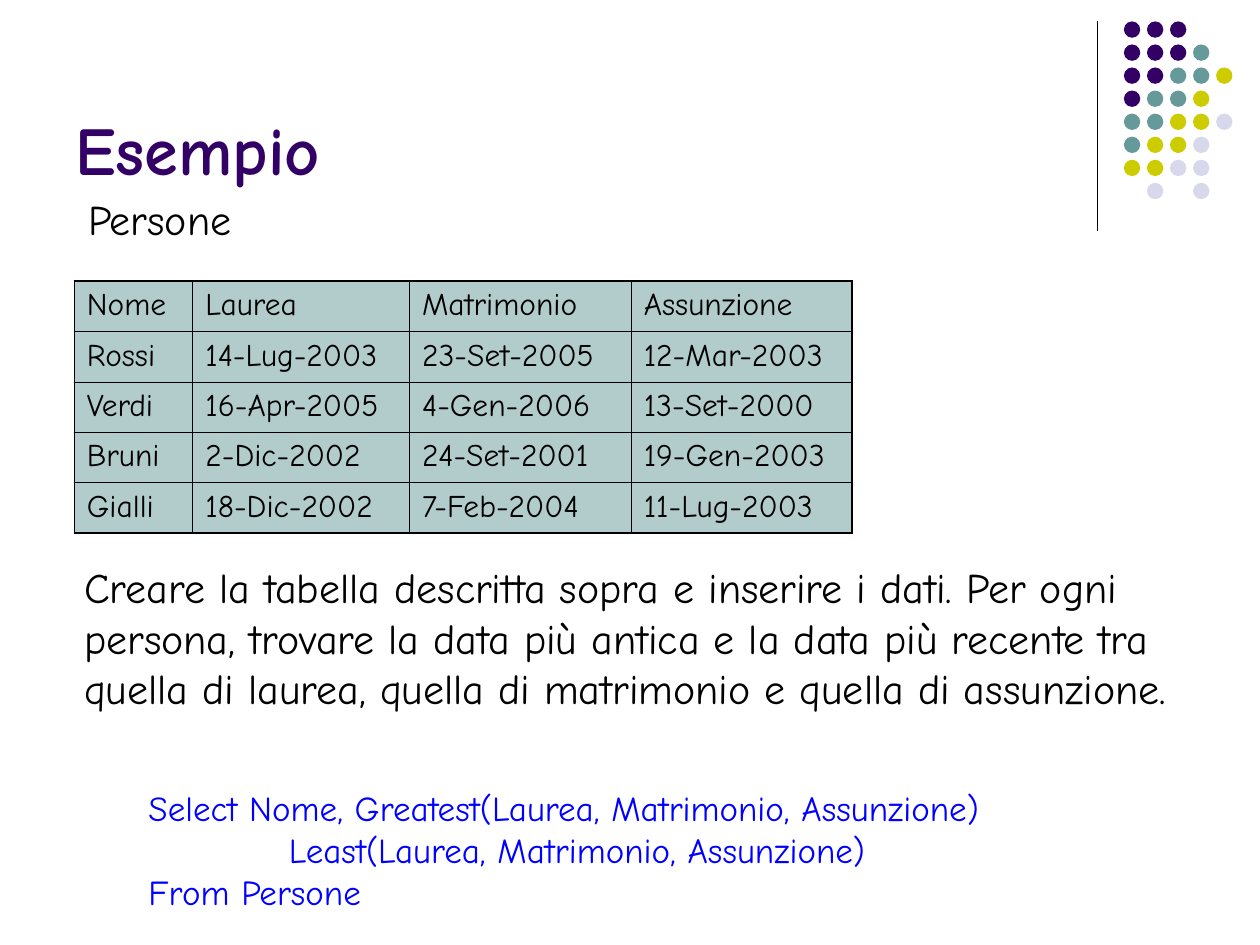
from dataclasses import dataclass

from lxml.etree import SubElement
from pptx import Presentation
from pptx.dml.color import RGBColor
from pptx.enum.shapes import MSO_CONNECTOR, MSO_SHAPE
from pptx.enum.text import MSO_ANCHOR
from pptx.oxml.ns import qn
from pptx.util import Inches, Pt


@dataclass(frozen=True)
class Theme:
    font: str = "Comic Neue"
    purple: str = "330066"
    teal: str = "669999"
    olive: str = "CCCC00"
    lavender: str = "D8D8EC"
    black: str = "000000"
    blue: str = "0000FF"
    title_size: int = 39
    body_size: int = 24
    query_size: int = 20
    table_size: int = 18
    rule_width: float = 0.75
    outer_border: float = 1.08
    inner_border: float = 0.45


THEME = Theme()
GRID_COLUMNS, GRID_ROWS = 100, 75
UNIT = Inches(10) // GRID_COLUMNS

DOT_COLORS = {"P": THEME.purple, "T": THEME.teal, "O": THEME.olive, "L": THEME.lavender}
DOT_PATTERN = ["PPP", "PPPT", "PPTTO", "PTTO", "TTOOL", "TOOL", "OOLL", " L L"]

PEOPLE = [
    ["Nome", "Laurea", "Matrimonio", "Assunzione"],
    ["Rossi", "14-Lug-2003", "23-Set-2005", "12-Mar-2003"],
    ["Verdi", "16-Apr-2005", "4-Gen-2006", "13-Set-2000"],
    ["Bruni", "2-Dic-2002", "24-Set-2001", "19-Gen-2003"],
    ["Gialli", "18-Dic-2002", "7-Feb-2004", "11-Lug-2003"],
]
COLUMN_WIDTHS = [9.4, 17.2, 17.6, 17.5]
ROW_HEIGHT = 4

QUERY = [
    "Select Nome, Greatest(Laurea, Matrimonio, Assunzione)",
    "            Least(Laurea, Matrimonio, Assunzione)",
    "From Persone",
]
TASK = (
    "Creare la tabella descritta sopra e inserire i dati. Per ogni persona, "
    "trovare la data più antica e la data più recente tra quella di laurea, "
    "quella di matrimonio e quella di assunzione."
)


def grid(*units):
    """Turn counts of grid columns or rows into slide lengths."""
    return [round(unit * UNIT) for unit in units]


def write_text(text_frame, lines, *, size, color=THEME.black, bold=False):
    for index, line in enumerate(lines):
        paragraph = text_frame.paragraphs[0] if index == 0 else text_frame.add_paragraph()
        run = paragraph.add_run()
        run.text = line
        run.font.name = THEME.font
        run.font.size = Pt(size)
        run.font.bold = bold
        run.font.color.rgb = RGBColor.from_string(color)


def add_text(slide, box, lines, *, wrap=True, anchor=MSO_ANCHOR.TOP, **text_format):
    text_frame = slide.shapes.add_textbox(*grid(*box)).text_frame
    text_frame.word_wrap = wrap
    text_frame.vertical_anchor = anchor
    write_text(text_frame, lines, **text_format)


def add_rule(slide, start, end):
    rule = slide.shapes.add_connector(MSO_CONNECTOR.STRAIGHT, *grid(*start, *end))
    rule.line.color.rgb = RGBColor.from_string(THEME.black)
    rule.line.width = Pt(THEME.rule_width)
    SubElement(rule._element.spPr, qn("a:effectLst"))


def add_dots(slide, left, top, pitch, diameter):
    group = slide.shapes.add_group_shape()
    for row, pattern in enumerate(DOT_PATTERN):
        for column, key in enumerate(pattern):
            if key == " ":
                continue
            box = grid(left + column * pitch, top + row * pitch, diameter, diameter)
            dot = group.shapes.add_shape(MSO_SHAPE.OVAL, *box)
            dot.shadow.inherit = False
            dot.fill.solid()
            dot.fill.fore_color.rgb = RGBColor.from_string(DOT_COLORS[key])
            dot.line.fill.background()


def style_cell(cell, outer_sides):
    """Draw the four borders, thicker on the outer sides, and a half-clear fill."""
    properties = cell._tc.get_or_add_tcPr()
    for side in "LRTB":
        width = THEME.outer_border if side in outer_sides else THEME.inner_border
        border = SubElement(properties, qn(f"a:ln{side}"), w=str(int(Pt(width))))
        SubElement(SubElement(border, qn("a:solidFill")), qn("a:srgbClr"), val=THEME.black)
    cell.fill.solid()
    cell.fill.fore_color.rgb = RGBColor.from_string(THEME.teal)
    fill_color = properties.find(qn("a:solidFill")).find(qn("a:srgbClr"))
    SubElement(fill_color, qn("a:alpha"), val="50000")


def add_people_table(slide, left, top):
    row_count, column_count = len(PEOPLE), len(PEOPLE[0])
    box = grid(left, top, sum(COLUMN_WIDTHS), row_count * ROW_HEIGHT)
    table = slide.shapes.add_table(row_count, column_count, *box).table
    table.first_row = table.horz_banding = False
    for column, width in zip(table.columns, grid(*COLUMN_WIDTHS)):
        column.width = width
    for row, values in enumerate(PEOPLE):
        for column, value in enumerate(values):
            edges = {"L": column == 0, "R": column == column_count - 1,
                     "T": row == 0, "B": row == row_count - 1}
            cell = table.cell(row, column)
            write_text(cell.text_frame, [value], size=THEME.table_size)
            style_cell(cell, [side for side, is_outer in edges.items() if is_outer])


def main():
    presentation = Presentation()
    presentation.slide_width = GRID_COLUMNS * UNIT
    presentation.slide_height = GRID_ROWS * UNIT
    slide = presentation.slides.add_slide(presentation.slide_layouts[6])

    add_rule(slide, (87.1, 1.7), (87.1, 18.3))
    add_dots(slide, left=89.2, top=1.7, pitch=1.83, diameter=1.3)
    add_text(slide, (5, 1.3, 82.5, 14.2), ["Esempio"], anchor=MSO_ANCHOR.BOTTOM,
             size=THEME.title_size, color=THEME.purple, bold=True)
    add_people_table(slide, left=5.9, top=22.3)
    add_text(slide, (10.8, 61.9, 68.2, 11), QUERY, wrap=False,
             size=THEME.query_size, color=THEME.blue)
    add_text(slide, (6, 14.9, 13.5, 5), ["Persone"], wrap=False, size=THEME.body_size)
    add_text(slide, (5.7, 44.1, 91.6, 13), [TASK], size=THEME.body_size)

    presentation.save("out.pptx")


if __name__ == "__main__":
    main()
